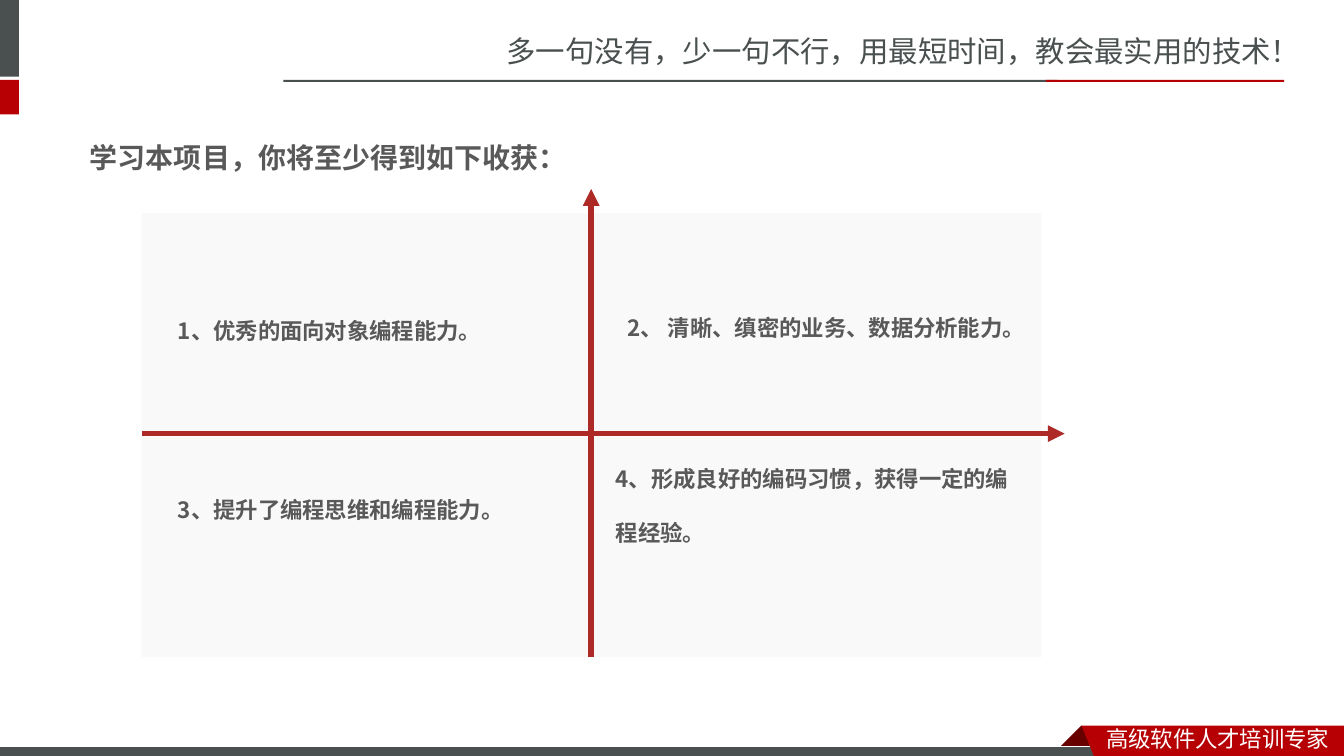
import dataclasses
import itertools

import pptx
import pptx.dml.color
import pptx.enum.dml
import pptx.enum.shapes
import pptx.enum.text
import pptx.oxml
import pptx.oxml.ns
import pptx.shapes.base
import pptx.shapes.connector
import pptx.slide
import pptx.text.text
import pptx.util

PX = 9525  # EMU per px, 96 px to the inch
SLATE, RED, DARK, WHITE = "49504F", "B60004", "680000", "FFFFFF"
TEXT, PANEL, AXIS = "595959", "F9F9F9", "AD2A26"
SC, JP = "Noto Sans CJK SC", "Noto Sans CJK JP"


@dataclasses.dataclass
class Box:
    left: int
    top: int
    width: int
    height: int

    def emu(self) -> list[int]:
        return [n * PX for n in dataclasses.astuple(self)]


@dataclasses.dataclass
class Bar:
    box: Box
    fill: str
    edge: str | None = None


@dataclasses.dataclass
class Label:
    box: Box
    text: str
    size: int
    font: str
    color: str
    bold: bool = False
    space: float = 1.0


@dataclasses.dataclass
class Patch:
    points: list[tuple[int, int]]
    fill: str


@dataclasses.dataclass
class Arrow:
    start: tuple[int, int]
    end: tuple[int, int]


LEFT, MID, TOP, CROSS = 135, 563, 203, 413
QUAD_H, GAP = 210, 3
LOW = CROSS + GAP
BASE = LOW + QUAD_H

BARS = [
    Bar(Box(-6, 0, 24, 73), SLATE),
    Bar(Box(-6, 76, 24, 33), RED),
    Bar(Box(270, 76, 737, 2), SLATE),
    Bar(Box(996, 76, 227, 2), RED),
]
FOLD = Patch([(1030, 691), (1051, 712), (1050, 713), (1010, 713), (1009, 712)], DARK)
FOOT = Bar(Box(-1, 711, 1056, 12), SLATE, WHITE)
RIBBON = Patch([(1030, 691), (1280, 691), (1280, 724), (1043, 723)], RED)

QUADS = [
    Bar(Box(left, top, width, QUAD_H), PANEL)
    for top, (left, width) in itertools.product((TOP, LOW), ((LEFT, 428), (MID, 429)))
]
AXES = [Arrow((LEFT, CROSS), (1014, CROSS)), Arrow((MID, BASE), (MID, 180))]

BANNERS = [
    Label(Box(473, 27, 807, 45), "多一句没有，少一句不行，用最短时间，教会最实用的技术！", 21, SC, SLATE),
    Label(Box(1044, 686, 235, 36), "高级软件人才培训专家", 16, SC, WHITE),
]
TITLE = Label(Box(76, 122, 1129, 55), "学习本项目，你将至少得到如下收获：", 20, "Calibri", TEXT, True)
GAINS = [
    Label(box, text, 16, JP, TEXT, True, 2.0)
    for box, text in (
        (Box(160, 272, 355, 55), "1、优秀的面向对象编程能力。"),
        (Box(588, 269, 379, 55), "2、 清晰、缜密的业务、数据分析能力。"),
        (Box(160, 442, 355, 55), "3、提升了编程思维和编程能力。"),
        (Box(577, 413, 403, 107), "4、形成良好的编码习惯，获得一定的编程经验。"),
    )
]


def rgb(code: str) -> pptx.dml.color.RGBColor:
    return pptx.dml.color.RGBColor.from_string(code)


def paint(shape: pptx.shapes.base.BaseShape, fill: str, edge: str | None = None) -> None:
    shape.shadow.inherit = False
    shape.fill.solid()
    shape.fill.fore_color.rgb = rgb(fill)
    if edge:
        shape.line.color.rgb = rgb(edge)
        shape.line.width = pptx.util.Pt(0.75)
    else:
        shape.line.fill.background()


def add_bar(slide: pptx.slide.Slide, bar: Bar) -> None:
    kind = pptx.enum.shapes.MSO_SHAPE.RECTANGLE
    paint(slide.shapes.add_shape(kind, *bar.box.emu()), bar.fill, bar.edge)


def add_patch(slide: pptx.slide.Slide, patch: Patch) -> None:
    first, *rest = patch.points
    pen = slide.shapes.build_freeform(*first, scale=PX)
    pen.add_line_segments(rest, close=True)
    paint(pen.convert_to_shape(), patch.fill)


def add_arrow(slide: pptx.slide.Slide, arrow: Arrow) -> None:
    ends = [n * PX for n in arrow.start + arrow.end]
    kind = pptx.enum.shapes.MSO_CONNECTOR.STRAIGHT
    line = slide.shapes.add_connector(kind, *ends)
    line.line.color.rgb = rgb(AXIS)
    line.line.width = pptx.util.Pt(4)
    space = pptx.oxml.ns.nsdecls("a")
    head = pptx.oxml.parse_xml(f'<a:tailEnd {space} type="triangle"/>')
    line.line._get_or_add_ln().append(head)
    line._element.spPr.append(pptx.oxml.parse_xml(f"<a:effectLst {space}/>"))


def write(frame: pptx.text.text.TextFrame, label: Label) -> None:
    frame.word_wrap = True
    para = frame.paragraphs[0]
    para.alignment = pptx.enum.text.PP_ALIGN.LEFT
    para.line_spacing = label.space
    run = para.add_run()
    run.text = label.text
    font = run.font
    font.size = pptx.util.Pt(label.size)
    font.bold = label.bold
    font.color.rgb = rgb(label.color)
    font.name = label.font
    space = pptx.oxml.ns.nsdecls("a")
    east = pptx.oxml.parse_xml(f'<a:ea {space} typeface="{label.font}"/>')
    run._r.get_or_add_rPr().append(east)


def add_label(slide: pptx.slide.Slide, label: Label) -> None:
    frame = slide.shapes.add_textbox(*label.box.emu()).text_frame
    write(frame, label)
    frame.auto_size = pptx.enum.text.MSO_AUTO_SIZE.SHAPE_TO_FIT_TEXT


def set_title(slide: pptx.slide.Slide, label: Label) -> None:
    title = slide.shapes.title
    title.left, title.top, title.width, title.height = label.box.emu()
    write(title.text_frame, label)
    title.text_frame.auto_size = pptx.enum.text.MSO_AUTO_SIZE.NONE
    title.text_frame.vertical_anchor = pptx.enum.text.MSO_ANCHOR.MIDDLE


def main() -> None:
    deck = pptx.Presentation()
    deck.slide_width, deck.slide_height = 1280 * PX, 720 * PX
    slide = deck.slides.add_slide(deck.slide_layouts[5])
    set_title(slide, TITLE)
    for bar in BARS:
        add_bar(slide, bar)
    add_patch(slide, FOLD)
    add_bar(slide, FOOT)
    add_patch(slide, RIBBON)
    for quad in QUADS:
        add_bar(slide, quad)
    for axis in AXES:
        add_arrow(slide, axis)
    for label in BANNERS + GAINS:
        add_label(slide, label)
    deck.save("out.pptx")


if __name__ == "__main__":
    main()
